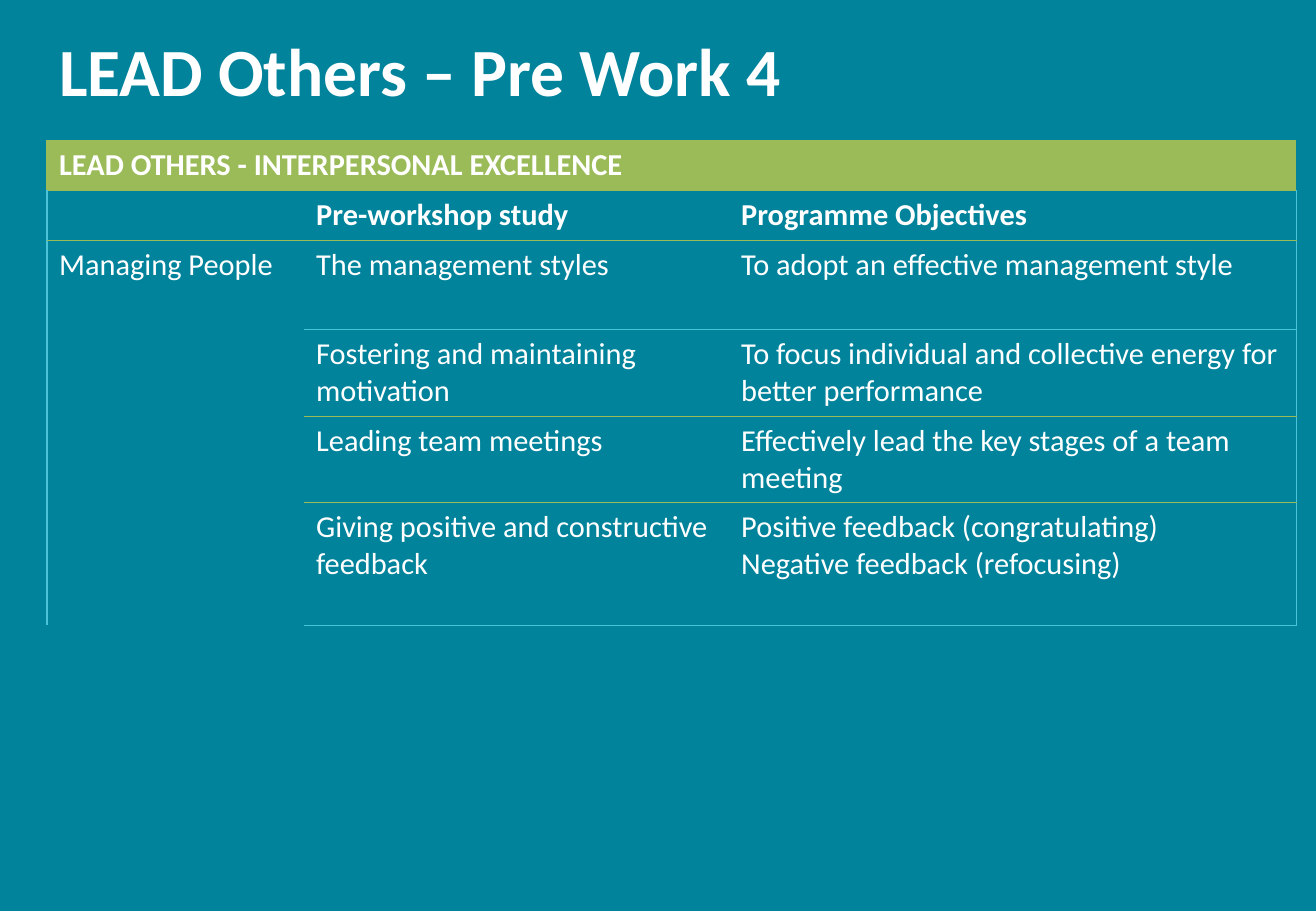
from dataclasses import dataclass

from lxml import etree
from pptx import Presentation
from pptx import util as u
from pptx.dml.color import RGBColor
from pptx.enum import text
from pptx.oxml.ns import qn
from pptx.table import Table, _Cell
from pptx.text.text import TextFrame

PX = 7526
TEAL, GREEN, CYAN, WHITE = "00839B", "9BBB59", "4BC4D9", "FFFFFF"
PLAIN_STYLE = "{2D5ABB26-0587-4C30-8999-92F81FD0307C}"
COLUMN_WIDTHS = (257, 425, 567)


@dataclass(frozen=True)
class ProgrammeRow:
    height: int
    texts: tuple[str, str, str]
    rule: str
    bold: bool = False
    fill: str | None = None


ROWS = (
    ProgrammeRow(49, ("LEAD OTHERS - INTERPERSONAL EXCELLENCE", "", ""), GREEN, True, GREEN),
    ProgrammeRow(50, ("", "Pre-workshop study", "Programme Objectives"), GREEN, True),
    ProgrammeRow(89, ("Managing People", "The management styles",
                      "To adopt an effective management style"), CYAN),
    ProgrammeRow(87, ("", "Fostering and maintaining motivation",
                      "To focus individual and collective energy for better performance"), GREEN),
    ProgrammeRow(86, ("", "Leading team meetings",
                      "Effectively lead the key stages of a team meeting"), GREEN),
    ProgrammeRow(123, ("", "Giving positive and constructive feedback",
                       "Positive feedback (congratulating)\nNegative feedback (refocusing)"), CYAN),
)


def px(length: int) -> u.Emu:
    return u.Emu(length * PX)


def colour(value: str) -> RGBColor:
    return RGBColor.from_string(value)


def write(frame: TextFrame, wording: str, *, size: int, bold: bool = False) -> None:
    frame.word_wrap = True
    frame.text = wording
    for paragraph in frame.paragraphs:
        paragraph.alignment = text.PP_ALIGN.LEFT
        font = paragraph.font
        font.size, font.bold, font.name = u.Pt(size), bold, "Calibri"
        font.color.rgb = colour(WHITE)
        for run in paragraph.runs:
            run.font.size, run.font.bold, run.font.name = u.Pt(size), bold, "Calibri"
            run.font.color.rgb = colour(WHITE)


def set_borders(cell: _Cell, **sides: str | None) -> None:
    properties = cell._tc.get_or_add_tcPr()
    for side in "LRTB":
        value = sides.get(side)
        if value:
            line = etree.SubElement(properties, qn(f"a:ln{side}"), w=str(u.Pt(0.75)))
            fill = etree.SubElement(line, qn("a:solidFill"))
            etree.SubElement(fill, qn("a:srgbClr"), val=value)


def fill_programme(programme: Table) -> None:
    last_row, last_column = len(ROWS) - 1, len(COLUMN_WIDTHS) - 1
    for column, width in zip(programme.columns, COLUMN_WIDTHS):
        column.width = px(width)
    programme.cell(0, 0).merge(programme.cell(0, last_column))
    programme.cell(2, 0).merge(programme.cell(last_row, 0))
    for r, row in enumerate(ROWS):
        programme.rows[r].height = px(row.height)
        edge = row.fill or CYAN
        for c, wording in enumerate(row.texts):
            cell = programme.cell(r, c)
            inside_topic = c == 0 and 2 <= r < last_row
            set_borders(
                cell,
                L=edge if c == 0 else None,
                R=edge if c == last_column else None,
                T=GREEN if r == 0 else ROWS[r - 1].rule if c or r <= 2 else None,
                B=None if inside_topic else row.rule,
            )
            if row.fill:
                cell.fill.solid()
                cell.fill.fore_color.rgb = colour(row.fill)
            else:
                cell.fill.background()
            write(cell.text_frame, wording, size=18, bold=row.bold)


def main() -> None:
    deck = Presentation()
    deck.slide_width, deck.slide_height = u.Inches(10.83), u.Inches(7.5)
    slide = deck.slides.add_slide(deck.slide_layouts[5])
    slide.background.fill.solid()
    slide.background.fill.fore_color.rgb = colour(TEAL)

    heading = slide.shapes.title
    heading.left, heading.top, heading.width, heading.height = map(px, (47, 24, 1086, 92))
    heading.text_frame.vertical_anchor = text.MSO_ANCHOR.MIDDLE
    write(heading.text_frame, "LEAD Others – Pre Work 4", size=40, bold=True)

    programme = slide.shapes.add_table(
        len(ROWS), len(COLUMN_WIDTHS), px(47), px(141),
        px(sum(COLUMN_WIDTHS)), px(sum(row.height for row in ROWS)),
    ).table
    programme.first_row = programme.horz_banding = False
    programme._tbl.tblPr.find(qn("a:tableStyleId")).text = PLAIN_STYLE
    fill_programme(programme)
    deck.save("out.pptx")


if __name__ == "__main__":
    main()
